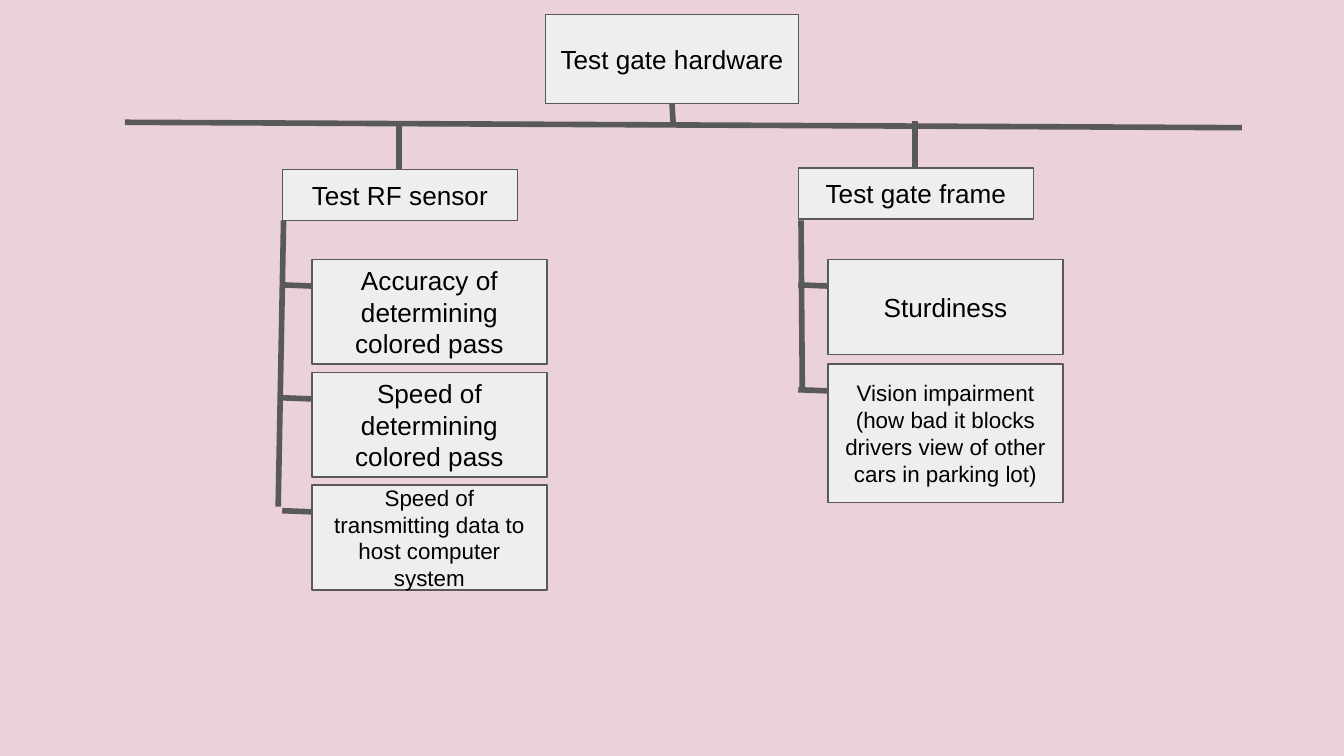
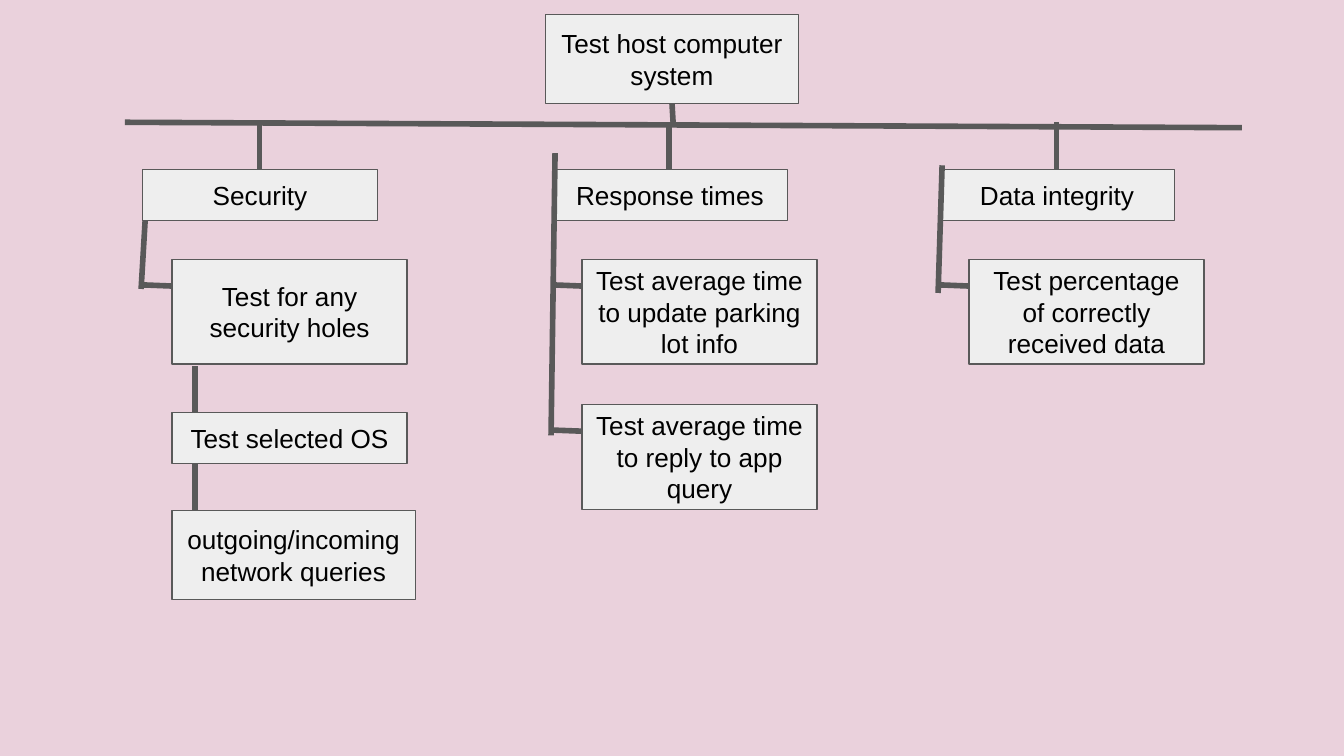
from lxml import etree
from pptx import Presentation
from pptx.dml.color import RGBColor
from pptx.enum.shapes import MSO_CONNECTOR, MSO_SHAPE
from pptx.enum.text import MSO_ANCHOR, PP_ALIGN
from pptx.oxml.ns import qn
from pptx.util import Pt

RECTANGLE = MSO_SHAPE.RECTANGLE
STRAIGHT = MSO_CONNECTOR.STRAIGHT
MIDDLE = MSO_ANCHOR.MIDDLE
CENTER = PP_ALIGN.CENTER

EMU_PER_PX = 9144  # 100 px to the inch
SLIDE_WIDTH = 1000
BACKGROUND, BOX_FILL, LINE, TEXT = "EAD1DC", "EEEEEE", "595959", "000000"
FONT = "Arial"

BOX_WIDTH, HEADING_HEIGHT = 175, 38
INSET = 10
STEM = 35           # line above a heading or a follow-up box
INDENT = 22         # child box from the left edge of its heading
STUB_DROP, STUB_LENGTH = 19, 26
CHAIN_INSET = 17    # follow-up line from the left edge of its box

# Each branch: left, top, heading, spine (bottom x, y, top x, y),
# children (text, top, height, text size), follow-ups (text, top, width, height).
# Everything but left and top is relative to the heading box.
SLIDES = [
    ("Test gate hardware", [
        (210, 126, "Test RF sensor", (-3, 251, 1, 38), [
            ("Accuracy of determining colored pass", 67, 78, 14),
            ("Speed of determining colored pass", 151, 78, 14),
            ("Speed of transmitting data to host computer system", 235, 78, 12),
        ], []),
        (594, 125, "Test gate frame", (3, 166, 2, 39), [
            ("Sturdiness", 68, 71, 14),
            ("Vision impairment (how bad it blocks drivers view of other "
             "cars in parking lot)", 146, 103, 12),
        ], []),
    ]),
    ("Test host computer system", [
        (106, 126, "Security", (-1, 89, 2, 38), [
            ("Test for any security holes", 67, 78, 14),
        ], [
            ("Test selected OS", 181, BOX_WIDTH, HEADING_HEIGHT),
            ("outgoing/incoming network queries", 254, 181, 66),
        ]),
        (411, 126, "Response times", (-1, 198, 2, -12), [
            ("Test average time to update parking lot info", 67, 78, 14),
            ("Test average time to reply to app query", 175, 78, 14),
        ], []),
        (699, 126, "Data integrity", (-1, 92, 2, -3), [
            ("Test percentage of correctly received data", 67, 78, 14),
        ], []),
    ]),
]


def px(length):
    return length * EMU_PER_PX


def color(value):
    return RGBColor.from_string(value)


def add_box(slide, text, left, top, width, height, size=14):
    shape = slide.shapes.add_shape(RECTANGLE, px(left), px(top), px(width), px(height))
    shape.shadow.inherit = False
    shape.fill.solid()
    shape.fill.fore_color.rgb = color(BOX_FILL)
    shape.line.color.rgb = color(LINE)
    shape.line.width = Pt(0.75)
    text_frame = shape.text_frame
    text_frame.word_wrap = True
    text_frame.vertical_anchor = MIDDLE
    text_frame.margin_left = text_frame.margin_right = px(INSET)
    text_frame.margin_top = text_frame.margin_bottom = px(INSET)
    text_frame.text = text
    paragraph = text_frame.paragraphs[0]
    paragraph.alignment = CENTER
    font = paragraph.runs[0].font
    font.name = FONT
    font.size = Pt(size)
    font.color.rgb = color(TEXT)


def add_line(slide, start_x, start_y, end_x, end_y):
    connector = slide.shapes.add_connector(
        STRAIGHT, px(start_x), px(start_y), px(end_x), px(end_y))
    connector.line.color.rgb = color(LINE)
    connector.line.width = Pt(3)
    etree.SubElement(connector._element.spPr, qn("a:effectLst"))


def add_root(slide, text):
    add_box(slide, text, 406, 11, 188, 66)
    add_line(slide, 501, 94, 500, 77)
    # Crossbar that carries the branches
    add_line(slide, 93, 91, 924, 95)


def add_branch(slide, left, top, heading, spine, children, follow_ups):
    # Heading with its stem
    add_box(slide, heading, left, top, BOX_WIDTH, HEADING_HEIGHT)
    stem_x = left + BOX_WIDTH // 2
    add_line(slide, stem_x, top, stem_x, top - STEM)

    # Spine
    bottom_x, bottom_y, top_x, top_y = spine
    add_line(slide, left + bottom_x, top + bottom_y, left + top_x, top + top_y)

    # Children, each on a stub
    child_left = left + INDENT
    for text, offset, height, size in children:
        child_top = top + offset
        stub_y = child_top + STUB_DROP
        add_line(slide, left, stub_y, left + STUB_LENGTH, stub_y + 1)
        add_box(slide, text, child_left, child_top, BOX_WIDTH, height, size)

    # Follow-ups, each hanging from the box above
    for text, offset, width, height in follow_ups:
        box_top = top + offset
        line_x = child_left + CHAIN_INSET
        add_box(slide, text, child_left, box_top, width, height)
        add_line(slide, line_x, box_top, line_x, box_top - STEM)


def add_tree_slide(presentation, root, branches):
    slide = presentation.slides.add_slide(presentation.slide_layouts[6])
    slide.background.fill.solid()
    slide.background.fill.fore_color.rgb = color(BACKGROUND)
    add_root(slide, root)
    for branch in branches:
        add_branch(slide, *branch)


def main():
    presentation = Presentation()
    presentation.slide_width = px(SLIDE_WIDTH)
    presentation.slide_height = px(SLIDE_WIDTH) * 9 // 16
    for root, branches in SLIDES:
        add_tree_slide(presentation, root, branches)
    presentation.save("out.pptx")


if __name__ == "__main__":
    main()
